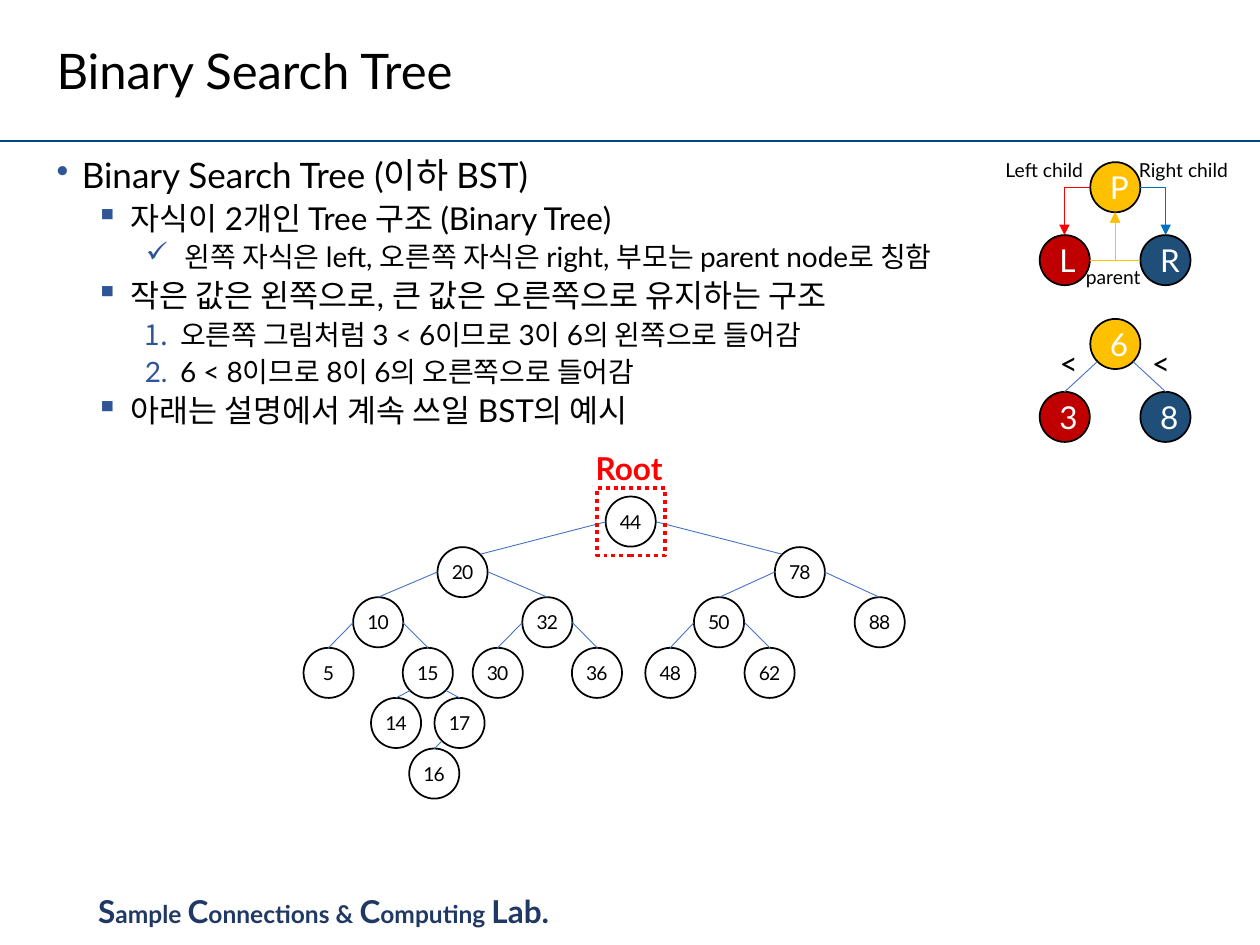
import math
from dataclasses import dataclass

from lxml import etree
from pptx import Presentation
from pptx import util as u
from pptx.dml.color import RGBColor
from pptx.enum import dml, shapes, text
from pptx.oxml.ns import qn

BLACK = RGBColor(0x00, 0x00, 0x00)
WHITE = RGBColor(0xFF, 0xFF, 0xFF)
RED = RGBColor(0xFF, 0x00, 0x00)
CRIMSON = RGBColor(0xC0, 0x00, 0x00)
GOLD = RGBColor(0xFF, 0xC0, 0x00)
DEEP_BLUE = RGBColor(0x1F, 0x4E, 0x79)
ARROW_BLUE = RGBColor(0x00, 0x70, 0xC0)
EDGE_BLUE = RGBColor(0x44, 0x72, 0xC4)
RULE_BLUE = RGBColor(0x00, 0x46, 0x7F)
FOOTER_BLUE = RGBColor(0x20, 0x38, 0x64)
BULLET_BLUE = "2F5597"
LATIN, KOREAN = "Lato", "Noto Sans CJK KR"
NODE = 1.01
RADIUS = NODE / 2
LEFT, RIGHT, TOP = 180, 0, 90


@dataclass
class Box:
    """A region in centimetres."""
    x: float
    y: float
    w: float
    h: float

    def lengths(self):
        """Return left, top, width and height as lengths."""
        return [u.Cm(round(v, 2)) for v in (self.x, self.y, self.w, self.h)]


def add_span(para, words, size, color=BLACK, bold=False):
    """Add one run with its Latin and Korean fonts."""
    span = para.add_run()
    span.text = words
    span.font.size, span.font.bold, span.font.name = u.Pt(size), bold, LATIN
    span.font.color.rgb = color
    etree.SubElement(span.font._element, qn("a:ea"), typeface=KOREAN)
    return span


def add_text(page, box, spans=(), wrap=True):
    """Add a text box whose first paragraph holds the given spans."""
    frame = page.shapes.add_textbox(*box.lengths()).text_frame
    frame.word_wrap = wrap
    for span in spans:
        add_span(frame.paragraphs[0], *span)
    return frame


def add_line(page, start, end, color, width=0.5, bent=False, arrow=False):
    """Join two points by a straight line or a single right-angle bend."""
    kind = shapes.MSO_CONNECTOR.ELBOW if bent else shapes.MSO_CONNECTOR.STRAIGHT
    line = page.shapes.add_connector(kind, *[u.Cm(round(v, 2)) for v in (*start, *end)])
    line.line.color.rgb, line.line.width = color, u.Pt(width)
    props = line.element.spPr
    if bent:
        props.find(qn("a:prstGeom")).set("prst", "bentConnector2")
    if arrow:
        etree.SubElement(props.find(qn("a:ln")), qn("a:tailEnd"), type="triangle")
    etree.SubElement(props, qn("a:effectLst"))


def rim(center, angle):
    """Return the point of a node's outline at an angle in degrees."""
    turn = math.radians(angle)
    return center[0] + RADIUS * math.cos(turn), center[1] - RADIUS * math.sin(turn)


def add_node(page, center, label, fill=None):
    """Draw a circle; filled ones have large white text."""
    box = Box(center[0] - RADIUS, center[1] - RADIUS, NODE, NODE)
    node = page.shapes.add_shape(shapes.MSO_SHAPE.OVAL, *box.lengths())
    node.shadow.inherit = False
    node.line.color.rgb, node.line.width = BLACK, u.Pt(1)
    frame = node.text_frame
    frame.vertical_anchor = text.MSO_ANCHOR.MIDDLE
    para = frame.paragraphs[0]
    para.alignment = text.PP_ALIGN.CENTER
    if fill is None:
        node.fill.background()
        frame.margin_left = frame.margin_right = frame.margin_top = frame.margin_bottom = 0
        add_span(para, label, 11).font._element.set("spc", "-50")
    else:
        node.fill.solid()
        node.fill.fore_color.rgb = fill
        add_span(para, label, 18, WHITE)


def add_heading(page, box):
    """Place the title and the rule below it."""
    frame = add_text(page, Box(box.x + 0.89, box.y + 0.36, 23.65, 2.24),
                     [("Binary Search Tree", 28)])
    frame.vertical_anchor = text.MSO_ANCHOR.MIDDLE
    frame.paragraphs[0].line_spacing = 0.9
    bottom = box.y + box.h
    add_line(page, (box.x, bottom), (box.x + box.w, bottom), RULE_BLUE, 1.5)


def add_outline(page, box):
    """Write the bulleted explanation."""
    # style: indent, hanging, size, space before, bullet
    styles = {
        "main": (0.51, 0.71, 20, 7.5, "•"),
        "point": (1.5, 0.71, 18, 3.8, "▪"),
        "check": (2.59, 0.79, 16, 3.8, "✓"),
        "step": (2.49, 0.71, 16, 3.8, None),
    }
    lines = [
        ("main", "Binary Search Tree (이하 BST)"),
        ("point", "자식이 2개인 Tree 구조 (Binary Tree)"),
        ("check", "왼쪽 자식은 left, 오른쪽 자식은 right, 부모는 parent node로 칭함"),
        ("point", "작은 값은 왼쪽으로, 큰 값은 오른쪽으로 유지하는 구조"),
        ("step", "오른쪽 그림처럼 3 < 6이므로 3이 6의 왼쪽으로 들어감"),
        ("step", "6 < 8이므로 8이 6의 오른쪽으로 들어감"),
        ("point", "아래는 설명에서 계속 쓰일 BST의 예시"),
    ]
    levels = {"main": 0, "point": 1, "check": 2, "step": 2}
    frame = add_text(page, box)
    for index, (style, words) in enumerate(lines):
        indent, hanging, size, before, bullet = styles[style]
        para = frame.add_paragraph() if index else frame.paragraphs[0]
        para.level, para.line_spacing, para.space_before = levels[style], 0.9, u.Pt(before)
        props = para._p.get_or_add_pPr()
        props.set("marL", str(u.Cm(indent)))
        props.set("indent", str(-u.Cm(hanging)))
        color = etree.SubElement(props, qn("a:buClr"))
        etree.SubElement(color, qn("a:srgbClr"), val=BULLET_BLUE)
        if bullet:
            etree.SubElement(props, qn("a:buChar"), char=bullet)
        else:
            etree.SubElement(props, qn("a:buAutoNum"), type="arabicPeriod")
        add_span(para, words, size)


def add_family(page, box, labels):
    """Draw a parent above two children and return the three centres."""
    parent = (box.x + box.w / 2, box.y + RADIUS)
    low = box.y + box.h - RADIUS
    centers = [parent, (box.x + RADIUS, low), (box.x + box.w - RADIUS, low)]
    for center, label, fill in zip(centers, labels, (GOLD, CRIMSON, DEEP_BLUE)):
        add_node(page, center, label, fill)
    return centers


def add_roles(page, box):
    """Show the links between a parent and its children."""
    parent, left, right = add_family(page, box, "PLR")
    for child, side, color in ((left, LEFT, RED), (right, RIGHT, ARROW_BLUE)):
        add_line(page, rim(parent, side), rim(child, TOP), color, bent=True, arrow=True)
        add_line(page, rim(child, 180 - side), rim(parent, 270), GOLD, bent=True, arrow=True)
    for words, x, y, width in (("parent", 0.68, 1.96, 1.68), ("Left child", -0.94, -0.2, 2.21),
                               ("Right child", 1.75, -0.2, 2.39)):
        add_text(page, Box(box.x + x, box.y + y, width, 0.74), [(words, 11)], wrap=False)


def add_order(page, box):
    """Show that values grow from left to right."""
    parent, left, right = add_family(page, box, "638")
    for child, angle, x in ((left, 225, 0.15), (right, 315, 2.01)):
        add_line(page, rim(parent, angle), rim(child, TOP), EDGE_BLUE)
        add_text(page, Box(box.x + x, box.y + 0.38, 0.86, 1.02), [("<", 18)], wrap=False)


def add_tree(page, box):
    """Draw the example tree with its marked root."""
    # value: centre offset, level, parent
    tree = {
        44: (6.61, 0, None), 20: (3.22, 1, 44), 78: (10.01, 1, 44),
        10: (1.51, 2, 20), 32: (4.93, 2, 20), 50: (8.39, 2, 78), 88: (11.62, 2, 78),
        5: (0.51, 3, 10), 15: (2.52, 3, 10), 30: (3.92, 3, 32), 36: (5.93, 3, 32),
        48: (7.4, 3, 50), 62: (9.41, 3, 50),
        14: (1.87, 4, 15), 17: (3.16, 4, 15), 16: (2.65, 5, 17),
    }
    step = (box.h - NODE) / 5
    centers = {value: (box.x + x, box.y + RADIUS + level * step)
               for value, (x, level, _) in tree.items()}
    for value, (_, level, parent) in tree.items():
        add_node(page, centers[value], str(value))
        if parent is None:
            continue
        smaller = value < parent
        if level > 3:
            leave = 225 if smaller else 315
        else:
            leave = LEFT if smaller else RIGHT
        arrive = TOP if level > 1 else (45 if smaller else 135)
        add_line(page, rim(centers[parent], leave), rim(centers[value], arrive), EDGE_BLUE)
    x, y = centers[44]
    frame = page.shapes.add_shape(shapes.MSO_SHAPE.RECTANGLE,
                                  *Box(x - 0.68, y - 0.68, 1.36, 1.36).lengths())
    frame.shadow.inherit = False
    frame.fill.background()
    frame.line.color.rgb, frame.line.width = RED, u.Pt(2.25)
    frame.line.dash_style = dml.MSO_LINE.ROUND_DOT
    add_text(page, Box(x - 0.96, y - 1.6, 1.88, 1.02), [("Root", 18, RED, True)])


def add_footer(page, box):
    """Write the name of the group with enlarged initials."""
    parts = (("S", 18), ("ample ", 14), ("C", 18), ("onnections & ", 14),
             ("C", 18), ("omputing ", 14), ("Lab.", 18))
    add_text(page, box, [(words, size, FOOTER_BLUE, True) for words, size in parts])


deck = Presentation()
deck.slide_width, deck.slide_height = u.Cm(25.4), u.Cm(19.05)
slide = deck.slides.add_slide(deck.slide_layouts[6])
add_footer(slide, Box(1.73, 17.86, 11.51, 1.02))
add_heading(slide, Box(0, 0, 25.4, 2.84))
add_outline(slide, Box(0.89, 3.07, 23.65, 13.82))
add_roles(slide, Box(20.96, 3.27, 3.04, 2.48))
add_order(slide, Box(20.96, 6.43, 3.04, 2.48))
add_tree(slide, Box(6.11, 10.01, 12.13, 6.09))
deck.save("out.pptx")
